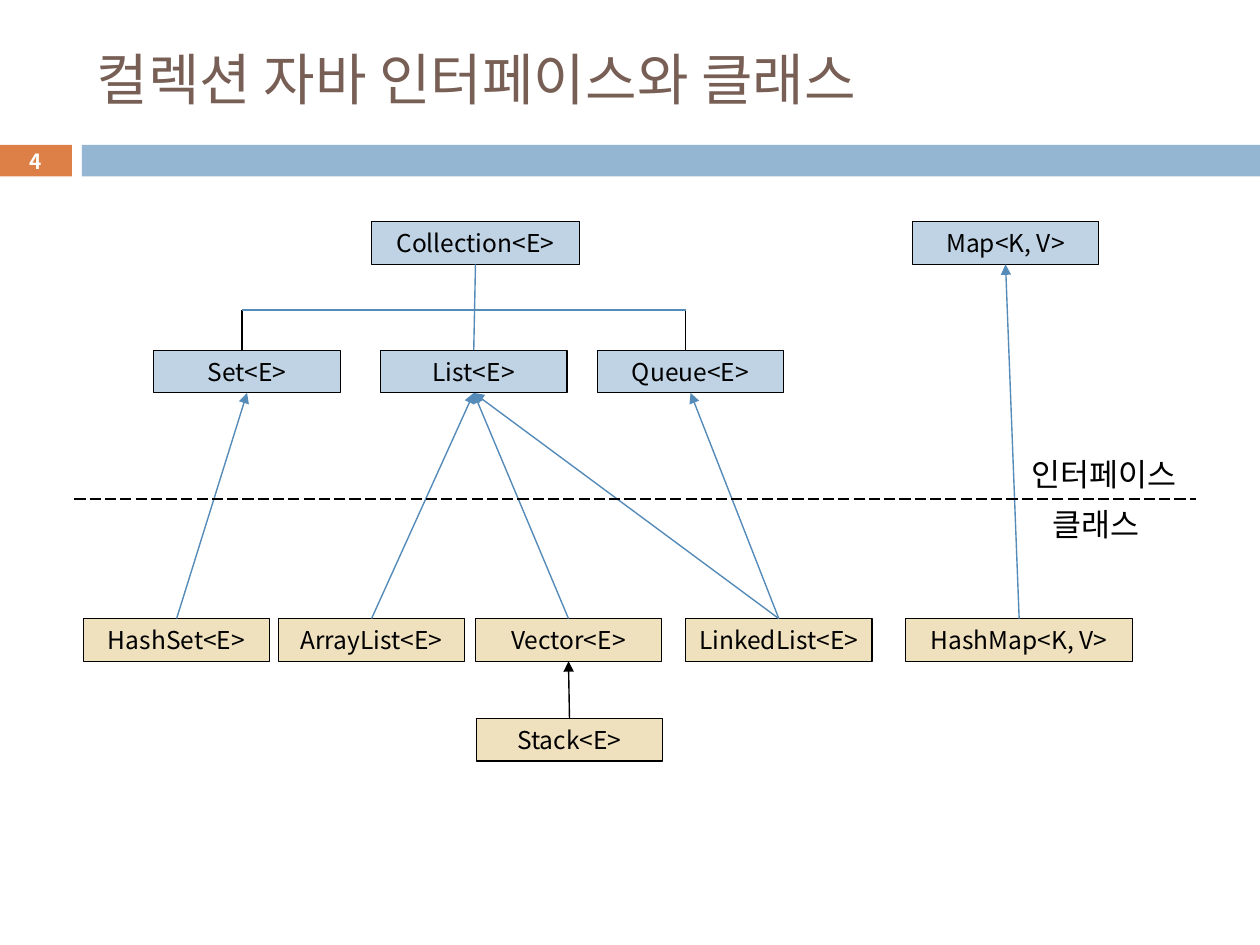
from dataclasses import dataclass
from pptx import Presentation
from pptx.dml.color import RGBColor as Rgb
from pptx.enum.dml import MSO_LINE as Dash
from pptx.enum.shapes import MSO_CONNECTOR as Conn, MSO_SHAPE as Shape
from pptx.enum.text import MSO_ANCHOR as Anchor, PP_ALIGN as Align
from pptx.oxml.ns import qn
from pptx.util import Cm, Pt
from lxml.etree import SubElement as Sub


@dataclass(frozen=True)
class Theme:
    font: str = "Noto Sans CJK KR"
    ink: str = "000000"
    white: str = "FFFFFF"
    title: str = "775F55"
    accent: str = "DD8047"
    band: str = "94B6D2"
    iface: str = "BFD3E4"
    klass: str = "EFE0BE"
    link: str = "558BB8"
    big: float = 32
    label: float = 18
    node: float = 14
    num: float = 11.9


T = Theme()
TOP, BOT = 2, 0  # connection sites: parent's bottom edge, child's top edge
NODE_W, NODE_H = 3.76, 0.86

# name: (x, y, width, fill)
NODES = {
    "Collection<E>": (5.99, 0, 4.19, T.iface),
    "Map<K, V>": (16.89, 0, NODE_W, T.iface),
    "Set<E>": (1.6, 2.59, NODE_W, T.iface),
    "List<E>": (6.17, 2.59, NODE_W, T.iface),
    "Queue<E>": (10.54, 2.59, NODE_W, T.iface),
    "HashSet<E>": (0.18, 8, NODE_W, T.klass),
    "ArrayList<E>": (4.11, 8, NODE_W, T.klass),
    "Vector<E>": (8.08, 8, NODE_W, T.klass),
    "LinkedList<E>": (12.32, 8, NODE_W, T.klass),
    "HashMap<K, V>": (16.76, 8, 4.57, T.klass),
    "Stack<E>": (8.1, 10.01, NODE_W, T.klass),
}
# (parent, child, colour, arrow)
LINKS = [
    ("Collection<E>", "List<E>", T.link, False),
    ("Set<E>", "HashSet<E>", T.link, True),
    ("List<E>", "ArrayList<E>", T.link, True),
    ("List<E>", "LinkedList<E>", T.link, True),
    ("List<E>", "Vector<E>", T.link, True),
    ("Queue<E>", "LinkedList<E>", T.link, True),
    ("Map<K, V>", "HashMap<K, V>", T.link, True),
    ("Vector<E>", "Stack<E>", T.ink, True),
]


def assign(obj, vals):
    for key, val in vals.items():
        setattr(obj, key, val)


def write(shape, text, size, color, align=Align.CENTER, inset=0, bold=False):
    frame = shape.text_frame
    assign(frame, dict(word_wrap=True, vertical_anchor=Anchor.MIDDLE,
                       margin_left=Cm(inset), margin_right=Cm(inset),
                       margin_top=0, margin_bottom=0))
    para = frame.paragraphs[0]
    para.alignment = align
    run = para.add_run()
    run.text = text
    assign(run.font, dict(name=T.font, size=Pt(size), bold=bold))
    run.font.color.rgb = Rgb.from_string(color)
    Sub(run.font._element, qn("a:ea"), typeface=T.font)


def label(slide, box, text, size, color):
    area = slide.shapes.add_textbox(*map(Cm, box))
    write(area, text, size, color, Align.LEFT, 0.25)


def rect(slide, box, fill, edge=None):
    shape = slide.shapes.add_shape(Shape.RECTANGLE, *map(Cm, box))
    shape.shadow.inherit = False
    shape.fill.solid()
    shape.fill.fore_color.rgb = Rgb.from_string(fill)
    if edge:
        shape.line.color.rgb = Rgb.from_string(edge)
        shape.line.width = Pt(0.75)
    else:
        shape.line.fill.background()
    return shape


def line(slide, ends, color, arrow=False, dash=None):
    """Draw a straight line; an arrowhead sits at its start."""
    conn = slide.shapes.add_connector(Conn.STRAIGHT, *map(Cm, ends))
    conn.line.color.rgb = Rgb.from_string(color)
    assign(conn.line, dict(width=Pt(0.79), dash_style=dash))
    if arrow:
        Sub(conn.line._get_or_add_ln(), qn("a:headEnd"), type="triangle")
    Sub(conn._element.spPr, qn("a:effectLst"))
    return conn


def header(slide, box, title, num):
    x, y, w, h = box
    bar, tab, gap = 0.64, 1.45, 0.2
    base = y + h - bar
    badge = rect(slide, (x, base, tab, bar), T.accent)
    write(badge, num, T.num, T.white, bold=True)
    left = x + tab + gap
    rect(slide, (left, base, w - tab - gap, bar), T.band)
    label(slide, (left + 0.05, y, 22.66, 1.88), title, T.big, T.title)


def split(slide, box):
    """Dashed border between interfaces and classes, with both labels."""
    x, y, w, h = box
    line(slide, (x, y + h, x + w, y + h), T.ink, dash=Dash.LONG_DASH)
    label(slide, (x + 19.05, y, 3.71, h), "인터페이스", T.label, T.ink)
    label(slide, (x + 19.46, y + h, 2.44, h), "클래스", T.label, T.ink)


def tree(slide, box):
    x, y, w, _ = box
    nodes = {}
    for name, (dx, dy, wide, fill) in NODES.items():
        nodes[name] = rect(slide, (x + dx, y + dy, wide, NODE_H), fill, T.ink)
        write(nodes[name], name, T.node, T.ink)

    left, right, bar, foot = x + 3.38, x + 12.32, y + 1.78, y + 2.59
    for stem in (left, right):
        line(slide, (stem, foot, stem, bar), T.ink)
    line(slide, (left, bar, right, bar), T.link)

    for parent, child, color, arrow in LINKS:
        conn = line(slide, (0, 0, 1, 1), color, arrow)
        conn.begin_connect(nodes[parent], TOP)
        conn.end_connect(nodes[child], BOT)
    split(slide, (x, y + 4.57, w, 1.02))


def main():
    deck = Presentation()
    assign(deck, dict(slide_width=Cm(25.4), slide_height=Cm(19.05)))
    slide = deck.slides.add_slide(deck.slide_layouts[6])
    header(slide, (0, 0.64, 25.4, 2.92), "컬렉션 자바 인터페이스와 클래스", "4")
    tree(slide, (1.5, 4.47, 22.6, 10.87))
    deck.save("out.pptx")


if __name__ == "__main__":
    main()
